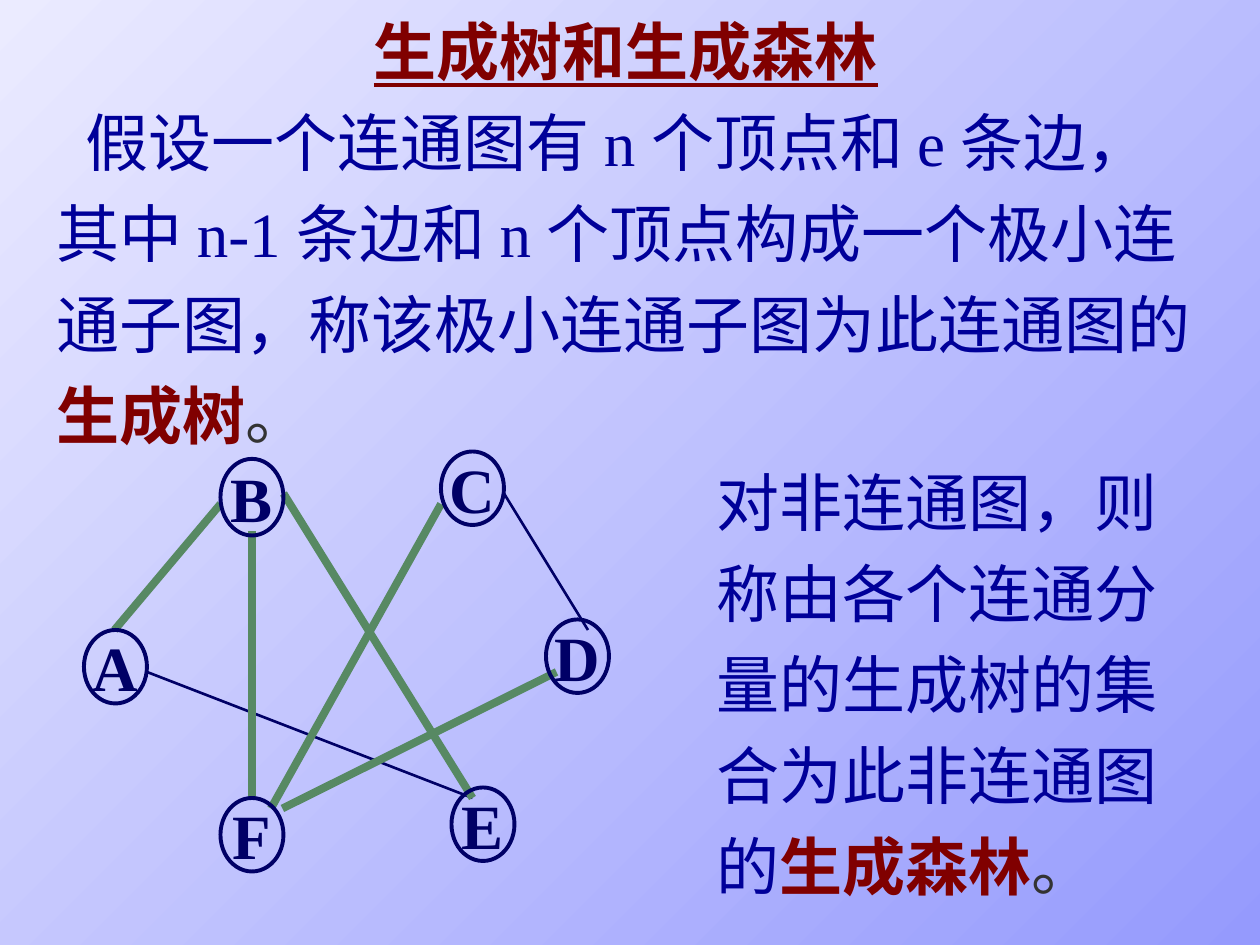
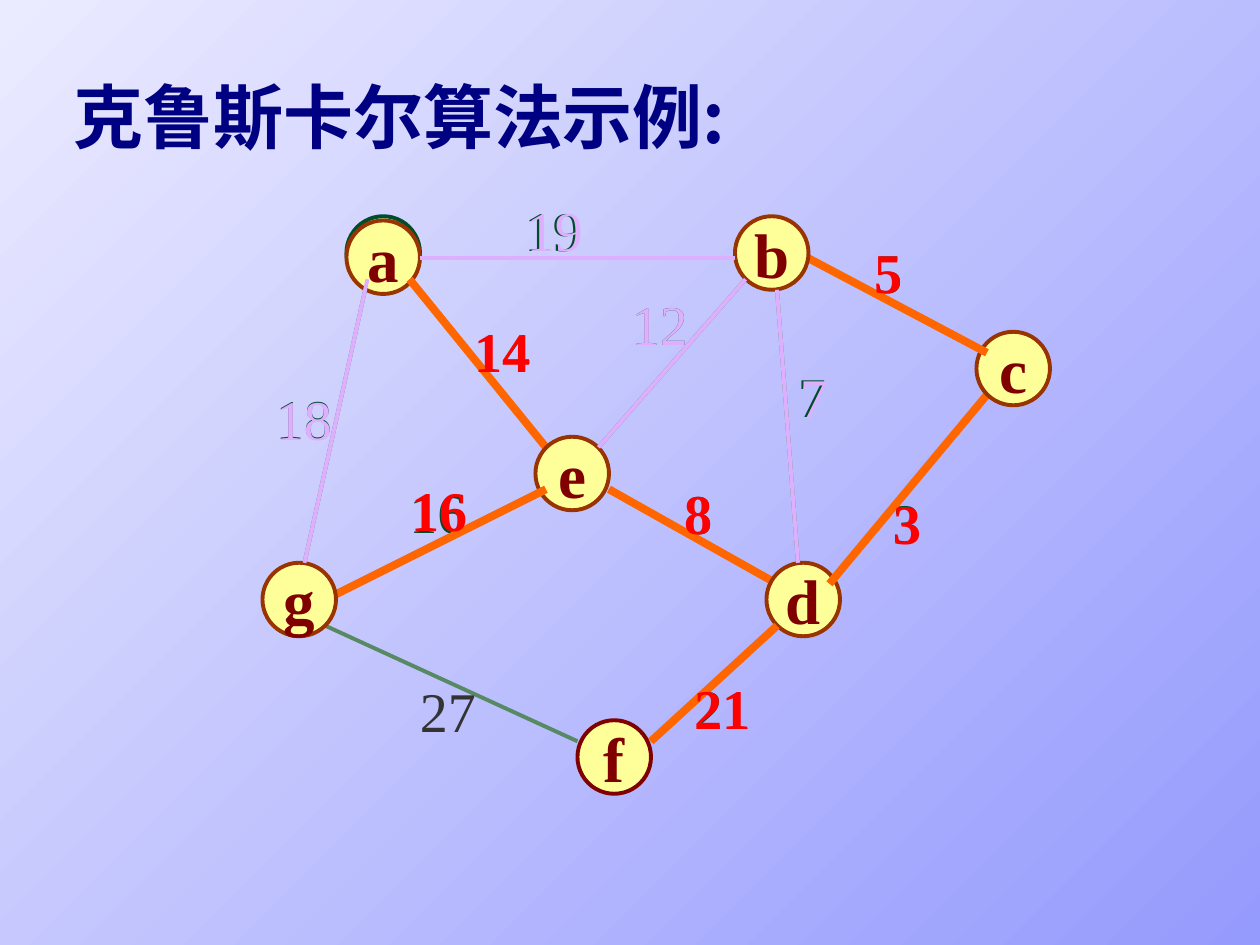
from lxml.etree import SubElement
from pptx import Presentation
from pptx.dml.color import RGBColor
from pptx.enum.shapes import MSO_CONNECTOR, MSO_SHAPE
from pptx.enum.text import MSO_ANCHOR, MSO_AUTO_SIZE, PP_ALIGN
from pptx.oxml.ns import qn
from pptx.util import Inches, Pt

CELLS_PER_INCH = 12
LATIN, CHINESE = "Times New Roman", "Noto Sans CJK SC"
NAVY, BLUE, MAROON, GREY = "000066", "000099", "800000", "333333"
GREEN, DARK_GREEN = "578963", "004C2B"
ORANGE, RED, LAVENDER, BROWN, YELLOW = "FF6600", "FF0000", "DFAFFF", "993300", "FFFF99"

TREE_NODES = {
    "B": (21, 43.7, 7.3), "A": (8, 60, 7), "C": (42, 43, 7),
    "D": (52, 59, 7), "F": (21, 76, 7), "E": (43, 75, 7),
}
TREE_EDGES = [
    (24, 50.6, 24, 76), (21, 48, 10.9, 60), (27, 47, 45, 76),
    (42, 48, 25.8, 77), (53, 64, 26.9, 77),
]
OTHER_EDGES = [(14, 64, 45, 76), (48, 47, 56, 60)]

GRAPH_TOP = 0.6
GRAPH_NODES = {
    "a": (33, 20.4), "e": (51, 41), "d": (73, 53), "c": (93, 31),
    "b": (70, 20), "g": (25, 53), "f": (55, 68),
}
# Edge ends, weight, weight position, shift of the upper weight, node reached.
CHOSEN_EDGES = [
    ((39, 26, 52, 42), "14", (44, 29.6), (0, 0), "e"),
    ((58, 46, 74, 55), "8", (64, 45), (0, 0), "d"),
    ((94, 37, 79, 55), "3", (83.8, 45.8), (0.1, 0.1), "c"),
    ((77, 24, 94, 33), "5", (82.1, 22), (0, 0), "b"),
    ((32, 56, 52, 46), "16", (37.8, 44.9), (0.2, -0.2), "g"),
    ((74, 59, 62, 70), "21", (65, 63.6), (0, 0), "f"),
]
REJECTED_EDGES = [
    ((74, 27, 76, 53), "7", (74.8, 33.8), (0.2, 0.1)),
    ((71, 26, 57, 42), "12", (59, 27), (0, 0)),
    ((35, 26, 29, 53), "18", (25.1, 35.9), (0, 0.1)),
    ((40, 24, 70, 24), "19", (48.8, 18), (0.2, 0)),
]
UNUSED_EDGE = ((31, 59, 55, 70), "27", (38.8, 63.8))


def cells(*counts):
    """Turn grid cells into lengths."""
    return [Inches(count / CELLS_PER_INCH) for count in counts]


def color(hex_string):
    """Turn a hex string into a colour."""
    return RGBColor.from_string(hex_string)


def set_background(presentation):
    """Give the master its diagonal gradient."""
    fill = presentation.slide_master.background.fill
    fill.gradient()
    fill.gradient_angle = 315
    for stop, shade in zip(fill.gradient_stops, ("EBEBFF", "959AFD")):
        stop.color.rgb = color(shade)


def set_font(paragraph, size, shade=None, bold=False, latin=LATIN):
    """Format a whole paragraph, with the Chinese font beside the Latin one."""
    font = paragraph.font
    font.size, font.bold, font.name = Pt(size), bold, latin
    if shade:
        font.color.rgb = color(shade)
    defaults = paragraph._p.pPr.find(qn("a:defRPr"))
    SubElement(defaults, qn("a:ea"), typeface=CHINESE)


def prepare_placeholder(placeholder, box, line_height, wrap=True):
    """Place a placeholder and return its plain, left-aligned paragraph."""
    placeholder.left, placeholder.top, placeholder.width, placeholder.height = cells(*box)
    frame = placeholder.text_frame
    frame.auto_size = MSO_AUTO_SIZE.NONE
    frame.vertical_anchor = MSO_ANCHOR.TOP
    frame.word_wrap = wrap
    frame.margin_top = Inches(0.1)
    paragraph = frame.paragraphs[0]
    paragraph.alignment = PP_ALIGN.LEFT
    paragraph.line_spacing = Pt(line_height)
    paragraph.space_before = Pt(0)
    return paragraph


def write_title(slide, text, box, size, shade, underline=False):
    """Fill the title placeholder."""
    paragraph = prepare_placeholder(slide.shapes.title, box, size * 1.2, wrap=False)
    paragraph.add_run().text = text
    set_font(paragraph, size, shade, True, CHINESE)
    paragraph.font.underline = underline


def write_definition(placeholder, box, text, term, indent=0):
    """Fill a body placeholder with a definition ending in its term."""
    paragraph = prepare_placeholder(placeholder, box, 52)
    properties = paragraph._p.get_or_add_pPr()
    properties.set("marL", "0")
    properties.set("indent", str(Inches(indent)))
    properties.set("hangingPunct", "0")
    SubElement(properties, qn("a:buNone"))
    set_font(paragraph, 36)
    for words, shade in ((text, BLUE), (term, MAROON), ("。", GREY)):
        run = paragraph.add_run()
        run.text = words
        run.font.color.rgb = color(shade)
        run.font.bold = words == term


def add_node(slide, name, box, outline, text_shade, fill=None):
    """Draw a named vertex."""
    shape = slide.shapes.add_shape(MSO_SHAPE.OVAL, *cells(*box))
    shape.shadow.inherit = False
    if fill:
        shape.fill.solid()
        shape.fill.fore_color.rgb = color(fill)
    else:
        shape.fill.background()
    shape.line.color.rgb = color(outline)
    shape.line.width = Pt(2.25)
    frame = shape.text_frame
    frame.word_wrap = False
    frame.vertical_anchor = MSO_ANCHOR.MIDDLE
    paragraph = frame.paragraphs[0]
    paragraph.alignment = PP_ALIGN.CENTER
    paragraph.add_run().text = name
    set_font(paragraph, 36, text_shade, True)


def add_edge(slide, ends, shade, width, top=0):
    """Draw a straight edge between two grid points."""
    x1, y1, x2, y2 = ends
    points = cells(x1, y1 + top, x2, y2 + top)
    edge = slide.shapes.add_connector(MSO_CONNECTOR.STRAIGHT, *points)
    edge.line.color.rgb = color(shade)
    edge.line.width = Pt(width)
    SubElement(edge._element.spPr, qn("a:effectLst"))


def add_weight(slide, weight, position, shade, shift=(0, 0), bold=False):
    """Write the weight of an edge."""
    left, top = position[0] + shift[0], position[1] + shift[1]
    width = 2.4 + 2.65 * len(weight)
    box = slide.shapes.add_textbox(*cells(left, top, width, 7.7))
    box.text_frame.word_wrap = False
    paragraph = box.text_frame.paragraphs[0]
    paragraph.add_run().text = weight
    set_font(paragraph, 32, shade, bold)


def add_graph_node(slide, name):
    """Draw a vertex of the weighted graph."""
    column, row = GRAPH_NODES[name]
    outline = MAROON if name == "f" else BROWN
    add_node(slide, name, (column, row + GRAPH_TOP, 7, 7), outline, MAROON, YELLOW)


def build_spanning_tree(presentation):
    """Define spanning trees and forests beside an example."""
    slide = presentation.slides.add_slide(presentation.slide_layouts[3])
    write_title(slide, "生成树和生成森林", (34.4, 0, 52, 8.4), 36, MAROON, True)
    write_definition(
        slide.placeholders[1], (4.2, 7.2, 112, 35.8),
        "假设一个连通图有 n 个顶点和 e 条边，其中 n-1 条边和 n 个顶点构成一个"
        "极小连通子图，称该极小连通子图为此连通图的", "生成树", 0.23)
    write_definition(
        slide.placeholders[2], (67, 41.5, 50, 44.4),
        "对非连通图，则称由各个连通分量的生成树的集合为此非连通图的", "生成森林")
    for ends in OTHER_EDGES:
        add_edge(slide, ends, NAVY, 1.5)
    for ends in TREE_EDGES:
        add_edge(slide, ends, GREEN, 4.5)
    for name, (column, row, height) in TREE_NODES.items():
        add_node(slide, name, (column, row, 6, height), NAVY, NAVY)


def build_kruskal_example(presentation):
    """Show the edges that Kruskal's algorithm chooses and rejects."""
    slide = presentation.slides.add_slide(presentation.slide_layouts[5])
    write_title(slide, "克鲁斯卡尔算法示例:", (5.8, 5.8, 68, 9.2), 40, "000082")
    add_node(slide, "a", (33, 20 + GRAPH_TOP, 7, 7), DARK_GREEN, DARK_GREEN, "CCFFCC")
    for ends, weight, position, *_ in CHOSEN_EDGES + REJECTED_EDGES:
        add_edge(slide, ends, GREEN, 2.25, GRAPH_TOP)
        add_weight(slide, weight, position, DARK_GREEN)
    ends, weight, position = UNUSED_EDGE
    add_edge(slide, ends, GREEN, 2.25, GRAPH_TOP)
    add_weight(slide, weight, position, GREY)

    add_graph_node(slide, "a")
    for ends, *_, reached in CHOSEN_EDGES:
        add_edge(slide, ends, ORANGE, 4.5, GRAPH_TOP)
        add_graph_node(slide, reached)
    for _, weight, position, shift, _ in CHOSEN_EDGES:
        add_weight(slide, weight, position, RED, shift, True)
    for ends, weight, position, shift in REJECTED_EDGES:
        add_edge(slide, ends, LAVENDER, 2.25, GRAPH_TOP)
        add_weight(slide, weight, position, LAVENDER, shift)


def main():
    """Build both slides and save them."""
    presentation = Presentation()
    presentation.slide_width, presentation.slide_height = cells(120, 90)
    set_background(presentation)
    build_spanning_tree(presentation)
    build_kruskal_example(presentation)
    presentation.save("out.pptx")


if __name__ == "__main__":
    main()
